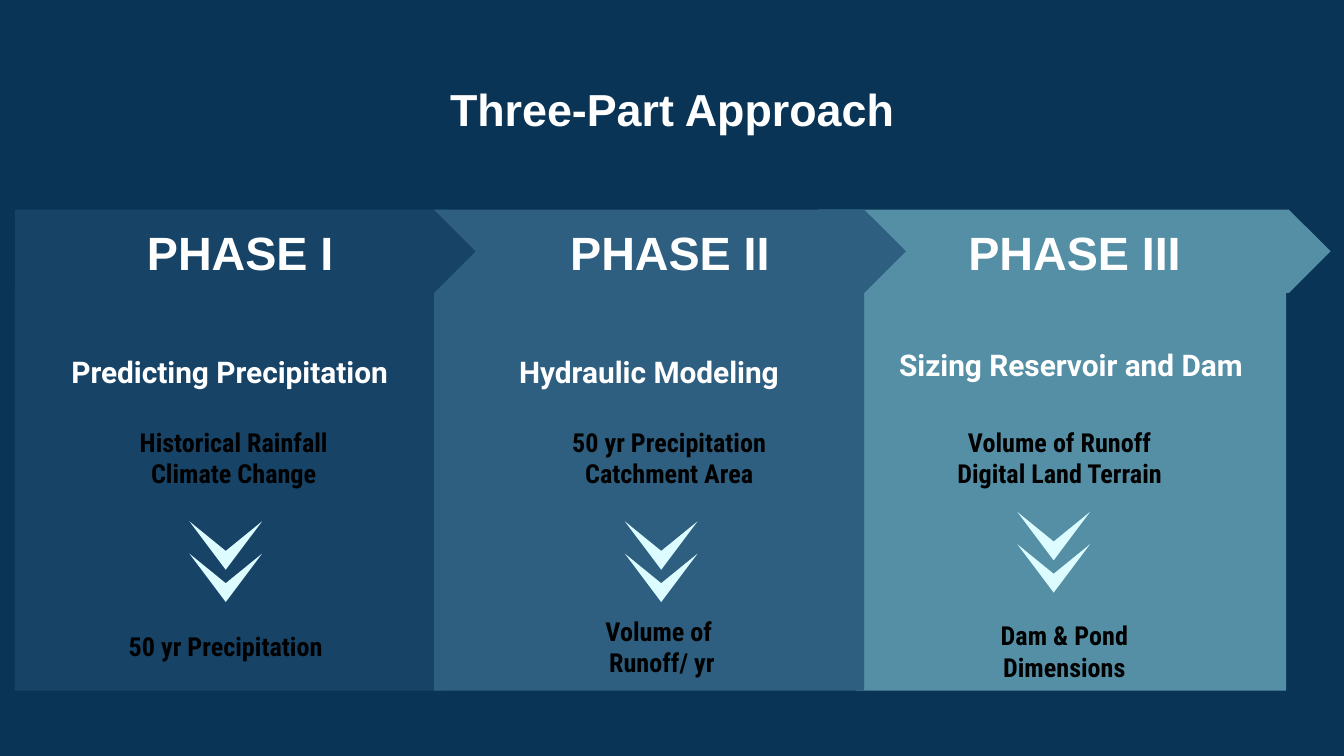
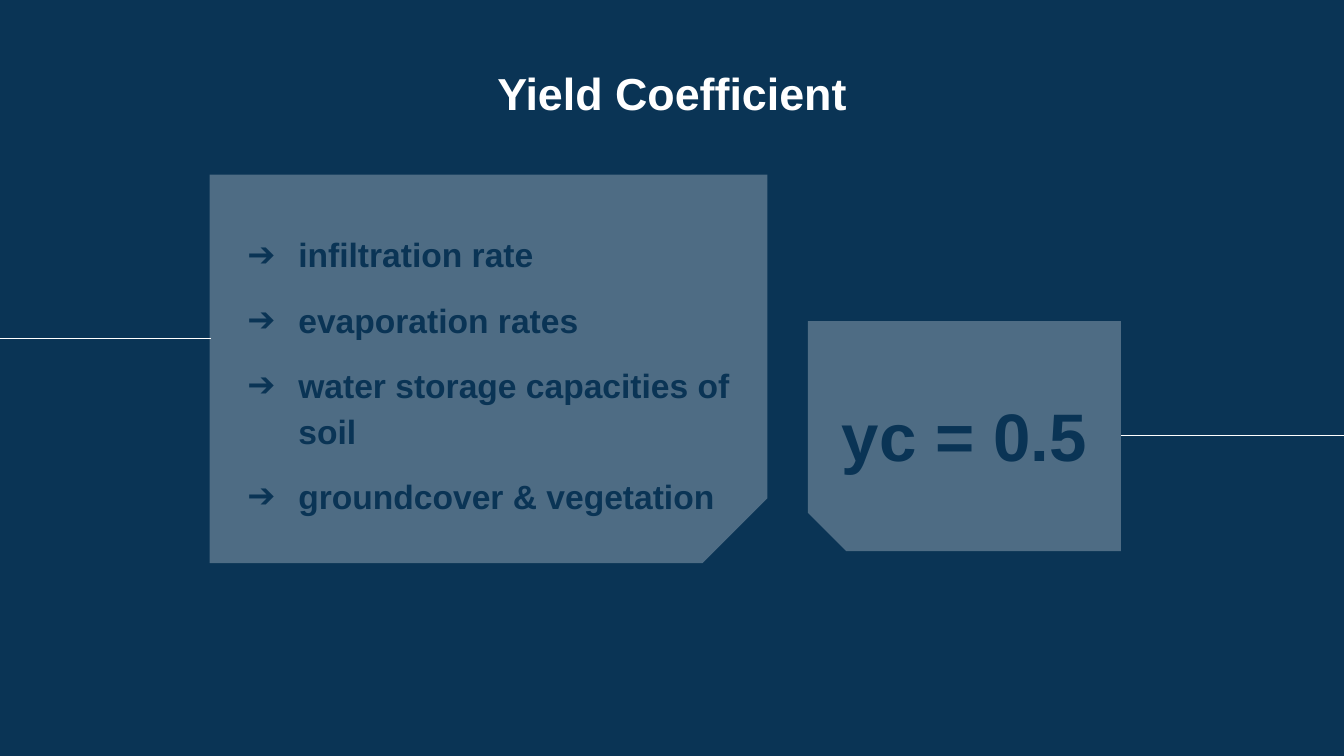
"""Two slides on sizing a reservoir: the three-part approach and the yield coefficient."""
from dataclasses import dataclass

import lxml.etree
import pptx
import pptx.dml.color
import pptx.enum.shapes
import pptx.enum.text
import pptx.oxml.ns
import pptx.presentation
import pptx.shapes.autoshape
import pptx.shapes.base
import pptx.slide
import pptx.text.text
import pptx.util

Inches = pptx.util.Inches
Pt = pptx.util.Pt
RGBColor = pptx.dml.color.RGBColor
Anchor = pptx.enum.text.MSO_ANCHOR
Align = pptx.enum.text.PP_ALIGN
Preset = pptx.enum.shapes.MSO_SHAPE

NAVY = RGBColor(0x0A, 0x34, 0x55)
DEEP_BLUE = RGBColor(0x17, 0x43, 0x66)
MID_BLUE = RGBColor(0x2E, 0x5F, 0x80)
TEAL = RGBColor(0x54, 0x8F, 0xA6)
ICE = RGBColor(0xDC, 0xFC, 0xFF)
WHITE = RGBColor(0xFF, 0xFF, 0xFF)
BLACK = RGBColor(0x00, 0x00, 0x00)

TITLE_ONLY, TWO_CONTENT = 5, 3
BAND_TOP, BAND_HEIGHT = 1.56, 0.62
PANEL_TOP, PANEL_WIDTH, PANEL_HEIGHT = 2.18, 3.2, 2.96
INPUT_TOP, INPUT_HEIGHT = 3.07, 0.73


@dataclass(frozen=True)
class Area:
    left: float
    top: float
    width: float
    height: float

    def lengths(self) -> tuple[pptx.util.Length, ...]:
        return tuple(Inches(value) for value in
                     (self.left, self.top, self.width, self.height))


@dataclass(frozen=True)
class TextStyle:
    size: float
    color: RGBColor
    name: str = "Arial"
    align: Align = Align.CENTER
    anchor: Anchor = Anchor.MIDDLE
    inset_top: float = 0.1


@dataclass(frozen=True)
class Phase:
    label: str
    heading: str
    heading_inset: float
    color: RGBColor
    band: Preset
    band_left: float
    band_width: float
    panel_left: float
    inputs: tuple[str, ...]
    input_left: float
    input_width: float
    arrow_center: float
    arrow_top: float
    outputs: tuple[str, ...]
    output_area: Area
    output_anchor: Anchor = Anchor.MIDDLE


@dataclass(frozen=True)
class Card:
    area: Area
    rotation: float


TITLE = TextStyle(24, WHITE, anchor=Anchor.TOP)
BAND_LABEL = TextStyle(25, WHITE)
FACTOR = TextStyle(18, NAVY, align=Align.LEFT)
RESULT = TextStyle(36, NAVY)

# Listed from back to front, so that the tip of each band covers the next.
PHASES = (
    Phase("PHASE III", "Sizing Reservoir and Dam", 0.4, TEAL,
          Preset.CHEVRON, 6.09, 3.81, 6.37,
          ("Volume of Runoff", "Digital Land Terrain"), 6.95, 1.87,
          7.84, 3.81, ("Dam & Pond Dimensions",),
          Area(7.1, 4.51, 1.64, 0.6), Anchor.TOP),
    Phase("PHASE I", "Predicting Precipitation", 0.45, DEEP_BLUE,
          Preset.PENTAGON, 0.11, 3.51, 0.11,
          ("Historical Rainfall", "Climate Change"), 0.91, 1.66,
          1.68, 3.88, ("50 yr Precipitation",),
          Area(0.85, 4.44, 1.66, 0.73)),
    Phase("PHASE II", "Hydraulic Modeling", 0.45, MID_BLUE,
          Preset.CHEVRON, 3.23, 3.51, 3.23,
          ("50 yr Precipitation", "Catchment Area"), 4.15, 1.66,
          4.92, 3.88, ("Volume of ", "Runoff/ yr"),
          Area(3.99, 4.51, 1.87, 0.6)),
)

FACTORS = ("infiltration rate", "evaporation rates",
           "water storage capacities of soil", "groundcover & vegetation")
CARDS = (Card(Area(6.01, 2.39, 2.33, 1.71), 180),
         Card(Area(2.19, 0.67, 2.89, 4.15), 90))
SIDE_LINES = ((10, 8.34, 3.24), (1.57, 0, 2.52))


def apply_format(target: object, values: dict[str, object]) -> None:
    for name, value in values.items():
        setattr(target, name, value)


def write(frame: pptx.text.text.TextFrame, lines: tuple[str, ...],
          style: TextStyle) -> None:
    """Fill the frame with one paragraph for each line."""
    apply_format(frame, {
        "word_wrap": True,
        "auto_size": pptx.enum.text.MSO_AUTO_SIZE.NONE,
        "vertical_anchor": style.anchor,
        "margin_left": Inches(0.1), "margin_right": Inches(0.1),
        "margin_top": Inches(style.inset_top), "margin_bottom": Inches(0.1),
    })
    for index, line in enumerate(lines):
        para = frame.paragraphs[0] if index == 0 else frame.add_paragraph()
        apply_format(para, {"alignment": style.align, "space_before": Pt(0)})
        span = para.add_run()
        span.text = line
        apply_format(span.font, {"name": style.name, "size": Pt(style.size),
                                 "bold": True})
        span.font.color.rgb = style.color


def place(shape: pptx.shapes.base.BaseShape, area: Area) -> None:
    names = ("left", "top", "width", "height")
    apply_format(shape, dict(zip(names, area.lengths())))


def paint(shape: pptx.shapes.autoshape.Shape, color: RGBColor) -> None:
    shape.shadow.inherit = False
    shape.fill.solid()
    shape.fill.fore_color.rgb = color
    shape.line.fill.background()


def add_page(deck: pptx.presentation.Presentation, layout: int,
             title: str, area: Area) -> pptx.slide.Slide:
    page = deck.slides.add_slide(deck.slide_layouts[layout])
    place(page.shapes.title, area)
    write(page.shapes.title.text_frame, (title,), TITLE)
    return page


def add_block(page: pptx.slide.Slide, preset: Preset, area: Area,
              color: RGBColor) -> pptx.shapes.autoshape.Shape:
    block = page.shapes.add_shape(preset, *area.lengths())
    paint(block, color)
    return block


def add_note(page: pptx.slide.Slide, area: Area, lines: tuple[str, ...],
             anchor: Anchor) -> None:
    box = page.shapes.add_textbox(*area.lengths())
    write(box.text_frame, lines,
          TextStyle(14, BLACK, "Roboto Condensed", anchor=anchor))


def add_down_arrow(page: pptx.slide.Slide, center: float, top: float) -> None:
    """Draw one swept arrowhead pointing down."""
    points = [(Inches(center + across), Inches(top + down))
              for across, down in ((0.27, 0), (0, 0.22), (-0.27, 0), (0, 0.36))]
    builder = page.shapes.build_freeform(*points[0])
    builder.add_line_segments(points[1:], close=True)
    paint(builder.convert_to_shape(), ICE)


def add_phase(page: pptx.slide.Slide, phase: Phase) -> None:
    band = add_block(page, phase.band, Area(phase.band_left, BAND_TOP,
                     phase.band_width, BAND_HEIGHT), phase.color)
    write(band.text_frame, (phase.label,), BAND_LABEL)
    panel = add_block(page, Preset.RECTANGLE, Area(phase.panel_left, PANEL_TOP,
                      PANEL_WIDTH, PANEL_HEIGHT), phase.color)
    write(panel.text_frame, (phase.heading,),
          TextStyle(16, WHITE, "Roboto", anchor=Anchor.TOP,
                    inset_top=phase.heading_inset))


def add_phase_steps(page: pptx.slide.Slide, phase: Phase) -> None:
    """Add the inputs, the double arrow and the outputs of a phase."""
    add_note(page, Area(phase.input_left, INPUT_TOP, phase.input_width,
                        INPUT_HEIGHT), phase.inputs, Anchor.TOP)
    for drop in (0.24, 0):
        add_down_arrow(page, phase.arrow_center, phase.arrow_top + drop)
    add_note(page, phase.output_area, phase.outputs, phase.output_anchor)


def set_bullet(para: pptx.text.text._Paragraph, symbol: str | None) -> None:
    """Give the paragraph an arrow bullet, or none and no indent."""
    qn = pptx.oxml.ns.qn
    props = para._p.get_or_add_pPr()
    props.set("marL", str(Inches(0.5 if symbol else 0)))
    props.set("indent", str(Inches(-0.38 if symbol else 0)))
    if symbol is None:
        lxml.etree.SubElement(props, qn("a:buNone"))
        return
    color = lxml.etree.SubElement(props, qn("a:buClr"))
    lxml.etree.SubElement(color, qn("a:srgbClr"), val=str(NAVY))
    lxml.etree.SubElement(props, qn("a:buChar"), char=symbol)


def add_card(page: pptx.slide.Slide, card: Card) -> None:
    shape = add_block(page, Preset.SNIP_1_RECTANGLE, card.area, WHITE)
    shape.rotation = card.rotation
    shape.adjustments[0] = 0.167
    color = shape.element.spPr.find(".//" + pptx.oxml.ns.qn("a:srgbClr"))
    lxml.etree.SubElement(color, pptx.oxml.ns.qn("a:alpha"), val="28000")


def add_side_line(page: pptx.slide.Slide, start: float, end: float,
                  height: float) -> None:
    line = page.shapes.add_connector(
        pptx.enum.shapes.MSO_CONNECTOR.STRAIGHT,
        Inches(start), Inches(height), Inches(end), Inches(height))
    line.line.color.rgb = WHITE
    line.line.width = Pt(0.75)
    lxml.etree.SubElement(line.element.spPr, pptx.oxml.ns.qn("a:effectLst"))


def build_approach(deck: pptx.presentation.Presentation) -> None:
    page = add_page(deck, TITLE_ONLY, "Three-Part Approach",
                    Area(2.15, 0.51, 5.7, 0.91))
    for phase in PHASES:
        add_phase(page, phase)
    for phase in sorted(PHASES, key=lambda phase: phase.panel_left):
        add_phase_steps(page, phase)


def build_coefficient(deck: pptx.presentation.Presentation) -> None:
    page = add_page(deck, TWO_CONTENT, "Yield Coefficient",
                    Area(2.15, 0.39, 5.7, 1.03))
    for side_line in SIDE_LINES:
        add_side_line(page, *side_line)
    for card in CARDS:
        add_card(page, card)

    factors, result = page.placeholders[1], page.placeholders[2]
    place(factors, Area(1.62, 1.32, 4.04, 2.9))
    write(factors.text_frame, FACTORS, FACTOR)
    for index, para in enumerate(factors.text_frame.paragraphs):
        set_bullet(para, "➔")
        para.line_spacing = 1.15
        para.space_before = Pt(10 if index else 0)
    para.space_after = Pt(10)

    place(result, Area(5.93, 2.38, 2.49, 1.71))
    write(result.text_frame, ("yc = 0.5",), RESULT)
    set_bullet(result.text_frame.paragraphs[0], None)

    # The text stands in front of the translucent cards.
    for body in (factors, result):
        body.element.getparent().append(body.element)


def main() -> None:
    deck = pptx.Presentation()
    deck.slide_width = Inches(10)
    deck.slide_height = deck.slide_width * 9 // 16
    backdrop = deck.slide_master.background.fill
    backdrop.solid()
    backdrop.fore_color.rgb = NAVY
    build_approach(deck)
    build_coefficient(deck)
    deck.save("out.pptx")


if __name__ == "__main__":
    main()
